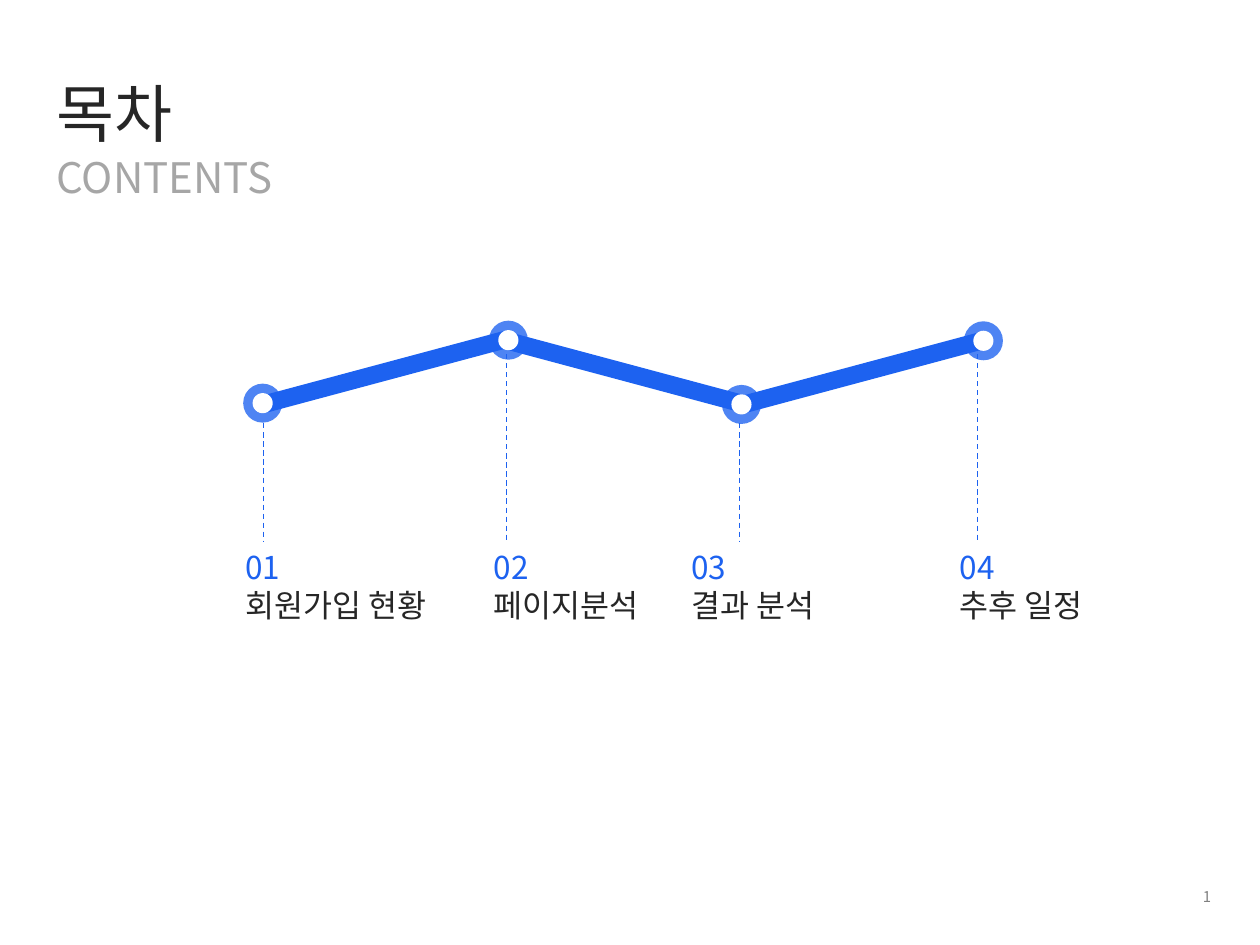
from lxml import etree
from pptx import Presentation
from pptx.dml.color import RGBColor
from pptx.enum.dml import MSO_LINE
from pptx.enum.shapes import MSO_CONNECTOR, MSO_SHAPE
from pptx.enum.text import MSO_ANCHOR, MSO_AUTO_SIZE, PP_ALIGN
from pptx.oxml.ns import qn
from pptx.util import Inches, Pt

COLORS = {
    "blue": "1D62F0",
    "dark": "262626",
    "gray": "A6A6A6",
    "page": "808080",
    "white": "FFFFFF",
}
FONT = "Noto Sans CJK KR"
RECT, OVAL = MSO_SHAPE.RECTANGLE, MSO_SHAPE.OVAL
STRAIGHT, DASH = MSO_CONNECTOR.STRAIGHT, MSO_LINE.DASH
LEFT, RIGHT = PP_ALIGN.LEFT, PP_ALIGN.RIGHT
TOP, MIDDLE = MSO_ANCHOR.TOP, MSO_ANCHOR.MIDDLE
GROW = MSO_AUTO_SIZE.SHAPE_TO_FIT_TEXT

# The slide is a grid of 100 columns by 75 rows; all lengths are in cells.
COLS, ROWS = 100, 75
LABEL_ROW = 43
BAR_LENGTH, BAR_WIDTH, BAR_TILT = 19.7, 1.4, 15
RING, HOLE = 3.1, 1.6

# number, title, node centre (column, row), stem (column, top row), label column
STEPS = [
    ("01", "회원가입 현황", (20.85, 32), (20.9, 33.6), 18.5),
    ("02", "페이지분석", (40.35, 27), (40.2, 28.1), 38.2),
    ("03", "결과 분석", (58.85, 32.1), (58.7, 33.6), 53.9),
    ("04", "추후 일정", (78.05, 27.05), (77.6, 28.1), 75.2),
]


class Deck:
    """Style, grid and current slide."""

    def __init__(self):
        self.prs = Presentation()
        self.prs.slide_width, self.prs.slide_height = Inches(10), Inches(7.5)
        self.cell = self.prs.slide_width / COLS
        self.s = self.prs.slides.add_slide(self.prs.slide_layouts[6])

    def emu(self, *cells):
        return [round(c * self.cell) for c in cells]

    def color(self, name):
        return RGBColor.from_string(COLORS[name])

    def text(self, box, lines, size, align=LEFT, anchor=TOP, fit=GROW):
        """Add a text box; lines are (text, colour) pairs."""
        tf = self.s.shapes.add_textbox(*self.emu(*box)).text_frame
        tf.word_wrap, tf.auto_size, tf.vertical_anchor = True, fit, anchor
        for i, (content, color) in enumerate(lines):
            p = tf.add_paragraph() if i else tf.paragraphs[0]
            p.alignment = align
            r = p.add_run()
            r.text = content
            r.font.size, r.font.name = Pt(size), FONT
            r.font.color.rgb = self.color(color)
            etree.SubElement(r._r.get_or_add_rPr(), qn("a:ea"), typeface=FONT)

    def shape(self, kind, center, width, height, color, rotation=0, opacity=100):
        x, y = center
        box = self.emu(x - width / 2, y - height / 2, width, height)
        sp = self.s.shapes.add_shape(kind, *box)
        sp.shadow.inherit = False
        sp.rotation = rotation
        sp.line.fill.background()
        sp.fill.solid()
        sp.fill.fore_color.rgb = self.color(color)
        if opacity < 100:
            rgb = sp._element.spPr.find(f".//{qn('a:srgbClr')}")
            etree.SubElement(rgb, qn("a:alpha"), val=str(opacity * 1000))

    def bar(self, start, end):
        middle = [(a + b) / 2 for a, b in zip(start, end)]
        tilt = BAR_TILT if end[1] > start[1] else -BAR_TILT
        self.shape(RECT, middle, BAR_LENGTH, BAR_WIDTH, "blue", tilt)

    def node(self, center):
        self.shape(OVAL, center, RING, RING, "blue", opacity=78)
        self.shape(OVAL, center, HOLE, HOLE, "white")

    def stem(self, x, top):
        ends = self.emu(x, top, x, LABEL_ROW)
        line = self.s.shapes.add_connector(STRAIGHT, *ends)
        line.line.color.rgb = self.color("blue")
        line.line.width, line.line.dash_style = Pt(0.75), DASH
        etree.SubElement(line._element.spPr, qn("a:effectLst"))


def main():
    deck = Deck()
    deck.text((3.5, 5.4, 75.6, 7.1), [("목차", "dark")], 36)
    deck.text((3.5, 11.5, 75.6, 5), [("CONTENTS", "gray")], 24)

    for _, _, _, stem, _ in STEPS:
        deck.stem(*stem)
    centers = [center for _, _, center, _, _ in STEPS]
    for start, end in zip(centers, centers[1:]):
        deck.bar(start, end)
    for center in centers:
        deck.node(center)
    for number, title, _, _, column in STEPS:
        box = (column, LABEL_ROW, 17.3, 7.1)
        deck.text(box, [(number, "blue"), (title, "dark")], 18)

    page_box = (76, ROWS - 5.2, 21.1, 2.7)
    deck.text(page_box, [("1", "page")], 8.5, RIGHT, MIDDLE, MSO_AUTO_SIZE.NONE)
    deck.prs.save("out.pptx")


if __name__ == "__main__":
    main()
